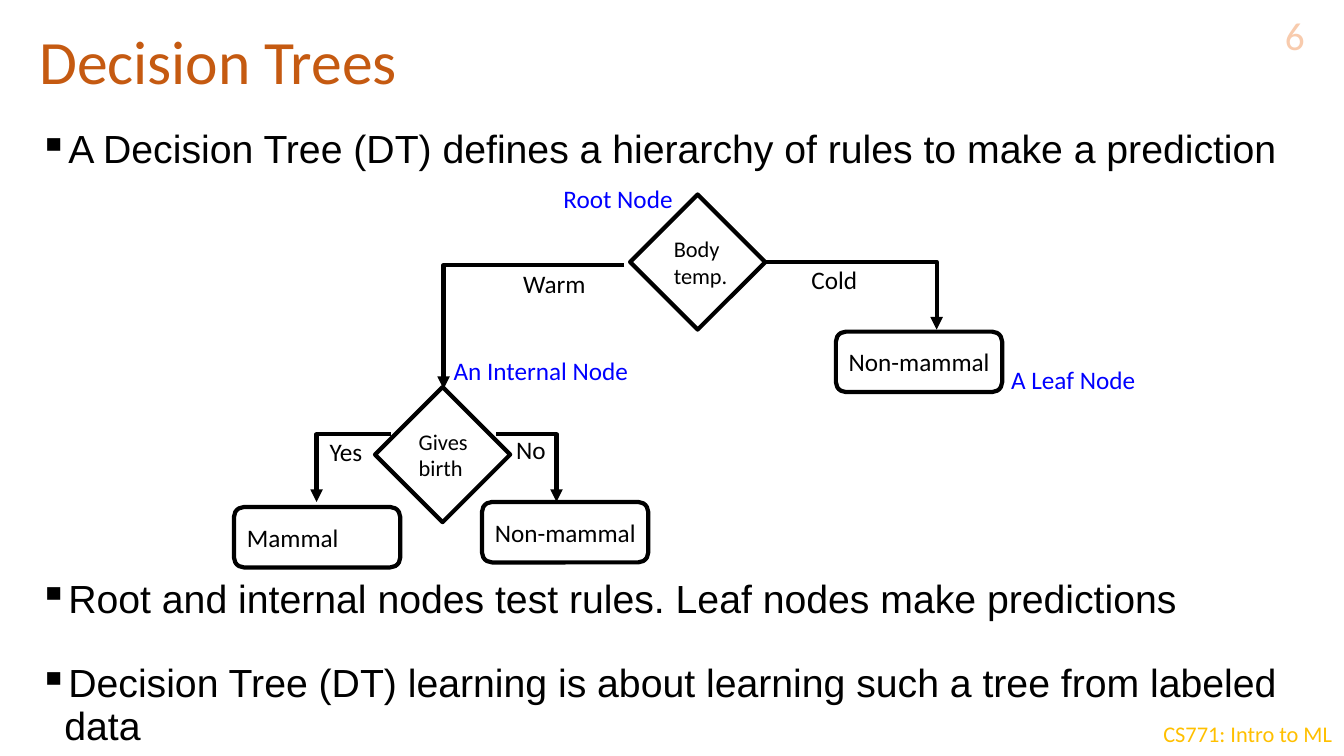
from lxml import etree
from pptx import Presentation
from pptx.dml.color import RGBColor
from pptx.enum import shapes, text
from pptx.oxml import ns
from pptx.util import Inches, Pt

BLACK, WHITE, BLUE = "000000", "FFFFFF", "0000FF"


def color(value):
    return RGBColor.from_string(value)


class TreeSlide:
    font = "Calibri"
    line_width = Pt(3)
    diamond_side = 1.34
    leaf_size = (1.65, 0.6)

    def __init__(self, s):
        self.s = s

    def add_text(self, p, words, size, hue=BLACK, font=None):
        r = p.add_run()
        r.text = words
        r.font.size = Pt(size)
        r.font.name = font or self.font
        r.font.color.rgb = color(hue)

    def label(self, words, x, y, w, h=0.4, size=18, hue=BLACK, wrap=False,
              anchor=text.MSO_ANCHOR.TOP, align=text.PP_ALIGN.LEFT, spacing=1.0):
        sp = self.s.shapes.add_textbox(Inches(x), Inches(y), Inches(w), Inches(h))
        tf = sp.text_frame
        tf.word_wrap = wrap
        tf.vertical_anchor = anchor
        p = tf.paragraphs[0]
        p.alignment = align
        p.line_spacing = spacing
        self.add_text(p, words, size, hue)

    def bullets(self, items, x, y, w, h):
        sp = self.s.shapes.add_textbox(Inches(x), Inches(y), Inches(w), Inches(h))
        tf = sp.text_frame
        tf.word_wrap = True
        for i, (words, before) in enumerate(items):
            p = tf.add_paragraph() if i else tf.paragraphs[0]
            p.line_spacing = 0.9
            p.space_before = Pt(before)
            pPr = p._p.get_or_add_pPr()
            pPr.set("marL", str(Inches(0.25)))
            pPr.set("indent", str(Inches(-0.25)))
            etree.SubElement(pPr, ns.qn("a:buChar")).set("char", "▪")
            self.add_text(p, words, 28, font="Arial")

    def node(self, kind, lines, x, y, w, h, size):
        sp = self.s.shapes.add_shape(kind, Inches(x), Inches(y), Inches(w), Inches(h))
        sp.shadow.inherit = False
        sp.fill.solid()
        sp.fill.fore_color.rgb = color(WHITE)
        sp.line.color.rgb = color(BLACK)
        sp.line.width = self.line_width
        tf = sp.text_frame
        tf.word_wrap = False
        tf.vertical_anchor = text.MSO_ANCHOR.MIDDLE
        for i, words in enumerate(lines):
            p = tf.add_paragraph() if i else tf.paragraphs[0]
            p.alignment = text.PP_ALIGN.LEFT
            self.add_text(p, words, size)

    def test(self, lines, x, y):
        self.node(shapes.MSO_SHAPE.DIAMOND, lines, x, y,
                  self.diamond_side, self.diamond_side, 16)

    def leaf(self, words, x, y):
        self.node(shapes.MSO_SHAPE.ROUNDED_RECTANGLE, [words], x, y, *self.leaf_size, 18)

    def branch(self, x1, y1, x2, y2):
        c = self.s.shapes.add_connector(shapes.MSO_CONNECTOR.ELBOW, Inches(x1),
                                        Inches(y1), Inches(x2), Inches(y2))
        c.line.color.rgb = color(BLACK)
        c.line.width = self.line_width
        spPr = c._element.spPr
        spPr.find(ns.qn("a:prstGeom")).set("prst", "bentConnector2")
        ln = spPr.find(ns.qn("a:ln"))
        etree.SubElement(ln, ns.qn("a:tailEnd")).set("type", "triangle")
        etree.SubElement(spPr, ns.qn("a:effectLst"))


def main():
    prs = Presentation()
    prs.slide_width, prs.slide_height = Inches(13.33), Inches(7.5)
    slide = TreeSlide(prs.slides.add_slide(prs.slide_layouts[6]))

    middle = text.MSO_ANCHOR.MIDDLE
    slide.label("CS771: Intro to ML", 11.44, 7.1, 1.9, 0.37, 16, "FFC000")
    slide.label("Decision Trees", 0.29, 0.19, 12.84, 0.9, 44, "C55A11",
                wrap=True, anchor=middle, spacing=0.9)
    slide.label("6", 12.38, 0.15, 0.66, 0.4, 28, "F8CBAD",
                wrap=True, anchor=middle, align=text.PP_ALIGN.RIGHT)
    slide.bullets([
        ("A Decision Tree (DT) defines a hierarchy of rules to make a prediction", 0),
        ("Root and internal nodes test rules. Leaf nodes make predictions", 291),
        ("Decision Tree (DT) learning is about learning such a tree from labeled data", 30),
    ], 0.29, 1.24, 12.84, 6.08)

    for ends in [(7.59, 2.6, 9.29, 3.27), (6.19, 2.63, 4.4, 3.86),
                 (3.88, 4.31, 3.14, 4.98), (4.92, 4.31, 5.52, 4.98)]:
        slide.branch(*ends)

    slide.test(["Body", "temp."], 6.25, 1.93)
    slide.test(["Gives", "birth"], 3.72, 3.84)

    for words, x, y in [("Non-mammal", 8.29, 3.29), ("Non-mammal", 4.78, 4.98),
                        ("Mammal", 2.32, 5.03)]:
        slide.leaf(words, x, y)

    for words, x, y, w in [("Warm", 5.09, 2.61, 0.83), ("Cold", 7.95, 2.57, 0.66),
                           ("Yes", 3.17, 4.28, 0.53), ("No", 5.02, 4.26, 0.5)]:
        slide.label(words, x, y, w)

    for words, x, y, w in [("Root Node", 5.49, 1.77, 1.3),
                           ("An Internal Node", 4.4, 3.48, 1.95),
                           ("A Leaf Node", 9.93, 3.57, 1.45)]:
        slide.label(words, x, y, w, hue=BLUE)

    prs.save("out.pptx")


if __name__ == "__main__":
    main()
